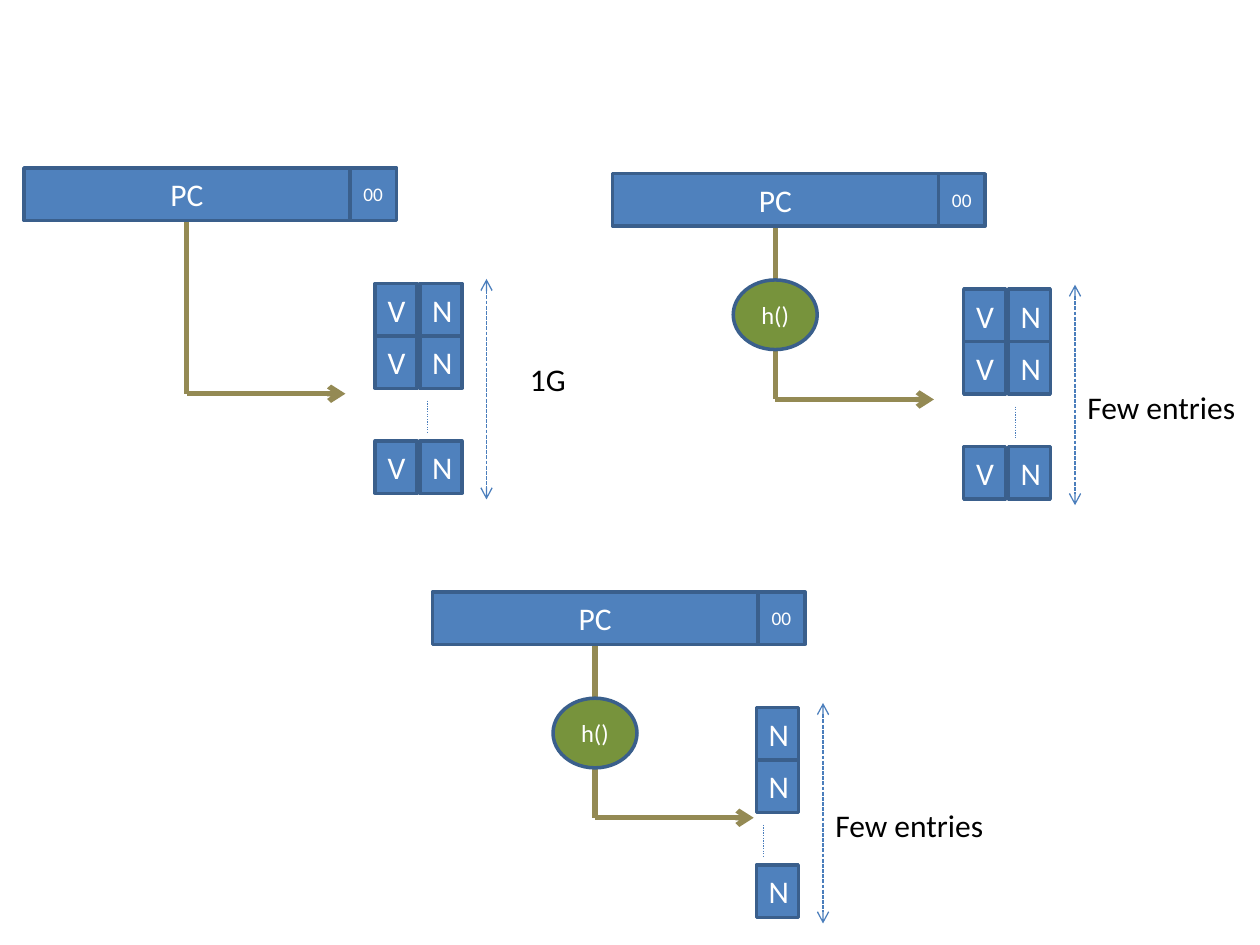
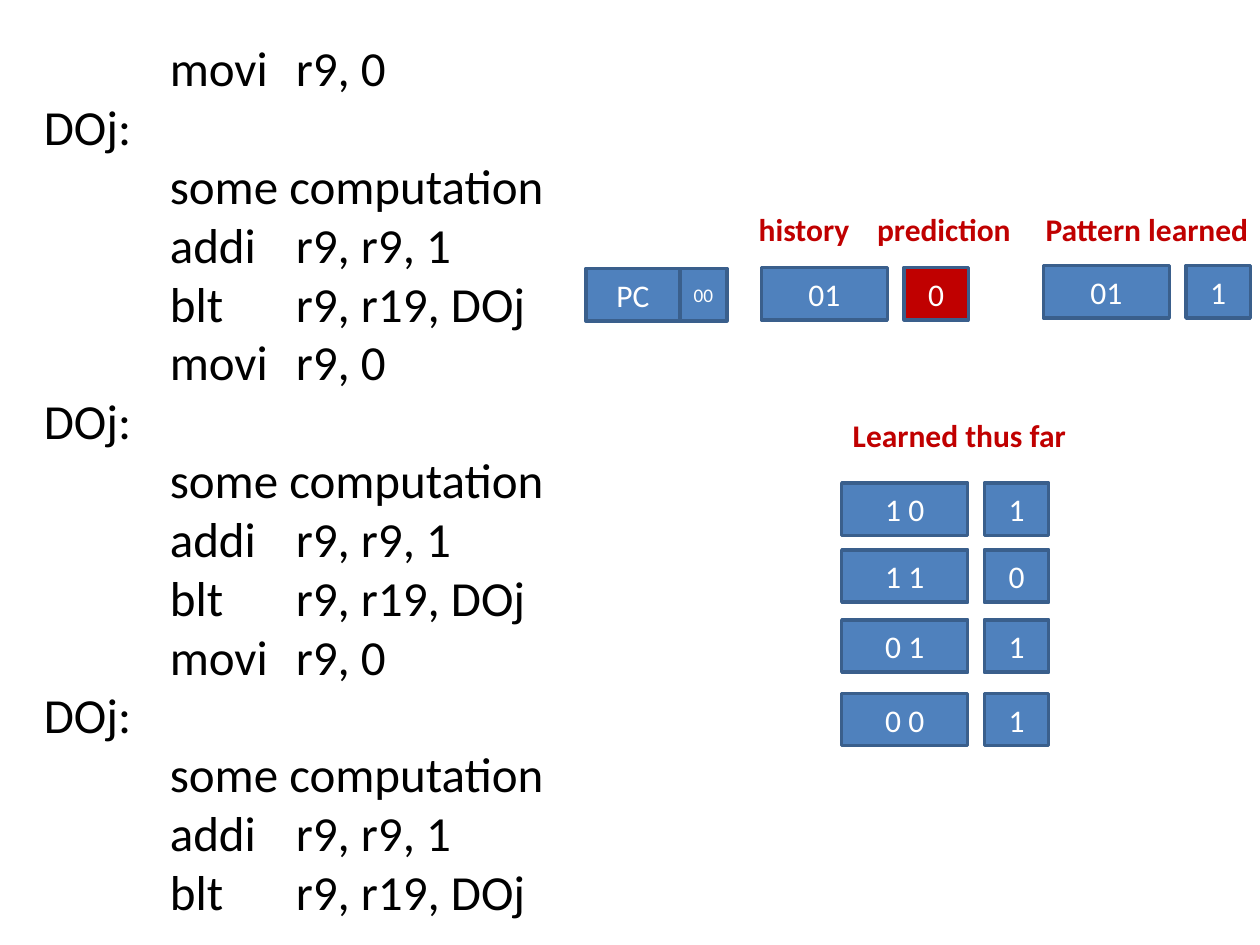
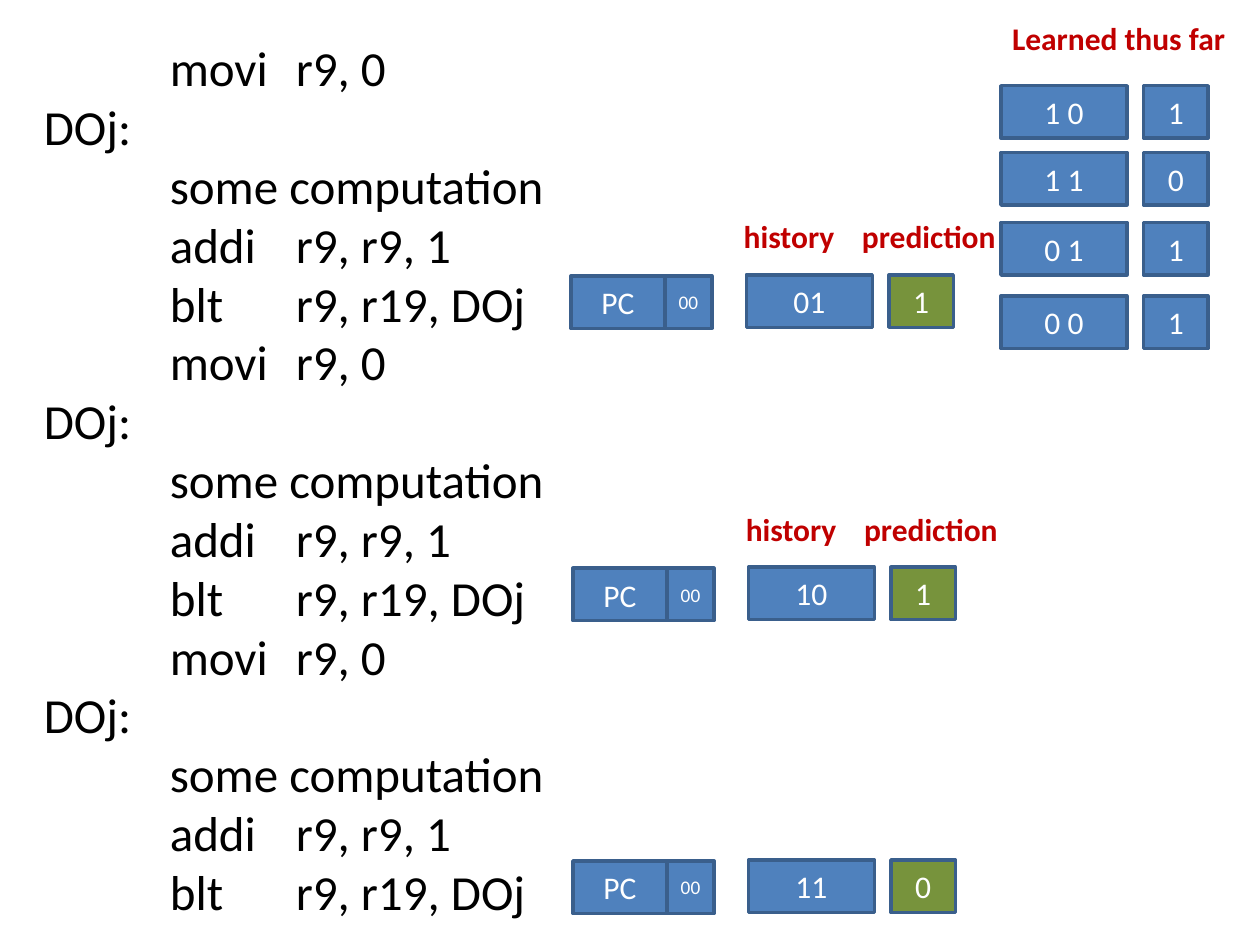
import dataclasses
import typing

import pptx
import pptx.dml.color
import pptx.enum.dml
import pptx.enum.shapes
import pptx.enum.text
import pptx.oxml.ns
import pptx.oxml.xmlchemy
import pptx.shapes.shapetree
import pptx.util
from lxml import etree

Pt = pptx.util.Pt
Dash = pptx.enum.dml.MSO_LINE
Shape = pptx.enum.shapes.MSO_SHAPE
Tree = typing.Union[pptx.shapes.shapetree.SlideShapes, pptx.shapes.shapetree.GroupShapes]
Point = tuple[float, float]

# Shared look
FONT = "Calibri"
BLUE, EDGE, THIN = "4F81BD", "3A5F8C", "4B7EBC"
GREEN, RED, TAN = "77933C", "C00000", "948A54"
WHITE, BLACK = "FFFFFF", "000000"
CELL = 30  # height of every box
TAB = 72

LOOP = (
    "\tmovi\tr9, 0\nDOj:\n\tsome computation\n"
    "\taddi\tr9, r9, 1\n\tblt\tr9, r19, DOj"
)
CODE = "\n".join([LOOP] * 3)


@dataclasses.dataclass(frozen=True)
class Design:
    """A predictor table indexed by the PC; x and y place the PC box."""
    x: float
    y: float
    size: str
    label: Point
    hashed: bool = True
    valid: bool = True


@dataclasses.dataclass(frozen=True)
class Guess:
    """One lookup: history bits and the predicted bit beside a PC box."""
    x: float
    y: float
    bits: str
    bit: str
    fill: str
    titled: bool = True


DESIGNS = [
    Design(13.7, 96, "1G", (282, 106), hashed=False),
    Design(350, 99.3, "Few entries", (264.3, 119)),
    Design(247, 338.3, "Few entries", (264.3, 119), valid=False),
]
FIRST = Guess(334.8, 153.4, "01", "0", RED)
LATER = [
    Guess(326.2, 157.7, "01", "1", GREEN),
    Guess(327.4, 324.7, "10", "1", GREEN),
    Guess(327.4, 492, "11", "0", GREEN, titled=False),
]
LEARNED = [(0, "1 0", "1"), (38.2, "1 1", "0"), (78.2, "0 1", "1"), (120.2, "0 0", "1")]


def color(value: str) -> pptx.dml.color.RGBColor:
    return pptx.dml.color.RGBColor.from_string(value)


def write(frame, text: str, size: float, ink: str, bold: bool = False) -> None:
    line = frame.paragraphs[0]
    line.text = text
    line.font.name = FONT
    line.font.size = Pt(size)
    line.font.bold = bold
    line.font.color.rgb = color(ink)


def box(tree: Tree, x: float, y: float, w: float, text: str, fill: str = BLUE,
        size: float = 18, h: float = CELL, kind=Shape.RECTANGLE) -> None:
    shape = tree.add_shape(kind, Pt(x), Pt(y), Pt(w), Pt(h))
    shape.shadow.inherit = False
    shape.fill.solid()
    shape.fill.fore_color.rgb = color(fill)
    shape.line.color.rgb = color(EDGE)
    shape.line.width = Pt(2)
    write(shape.text_frame, text, size, WHITE)
    shape.text_frame.paragraphs[0].alignment = pptx.enum.text.PP_ALIGN.CENTER


def label(tree: Tree, x: float, y: float, w: float, text: str,
          ink: str = RED, bold: bool = True) -> None:
    frame = tree.add_textbox(Pt(x), Pt(y), Pt(w), Pt(29)).text_frame
    frame.word_wrap = False
    frame.auto_size = pptx.enum.text.MSO_AUTO_SIZE.SHAPE_TO_FIT_TEXT
    write(frame, text, 18, ink, bold)


def line(tree: Tree, start: Point, end: Point, ink: str, width: float,
         dash=None, ends: tuple[str, ...] = ()) -> None:
    link = tree.add_connector(pptx.enum.shapes.MSO_CONNECTOR.STRAIGHT,
                              *(Pt(v) for v in start + end))
    link.line.color.rgb = color(ink)
    link.line.width = Pt(width)
    if dash is not None:
        link.line.dash_style = dash
    name = pptx.oxml.ns.qn
    props = link._element.spPr
    for tip in ends:
        etree.SubElement(props.find(name("a:ln")), name(f"a:{tip}")).set("type", "arrow")
    etree.SubElement(props, name("a:effectLst"))


def counter(tree: Tree, x: float, y: float, w: float) -> None:
    """The PC with its two low zero bits."""
    box(tree, x, y, w, "PC")
    box(tree, x + w, y, 26.8, "00", size=11)


def pair(tree: Tree, x: float, y: float, bits: str, bit: str, fill: str = BLUE) -> None:
    box(tree, x, y, 72, bits)
    box(tree, x + 81.5, y, 36.8, bit, fill)


def design(tree: Tree, item: Design) -> None:
    x, y = item.x, item.y
    stem, turn = x + 93, y + 129
    line(tree, (stem, y + CELL), (stem, turn), TAN, 3)
    line(tree, (stem, turn), (x + 183.7, turn), TAN, 3, ends=("tailEnd",))

    # Table: two rows, a gap, and the last row
    left = x if item.valid else x - 41
    for row in (0, 1, 3):
        top = y + 66 + row * CELL
        if item.valid:
            box(tree, left + 200.7, top, 24, "V")
        box(tree, left + 226.2, top, 24, "N")
    line(tree, (left + 230.4, y + 133), (left + 230.4, y + 151), THIN, 0.75, Dash.ROUND_DOT)
    line(tree, (left + 264.3, y + 63.4), (left + 264.3, y + 189.4), THIN, 0.75,
         Dash.SQUARE_DOT, ("headEnd", "tailEnd"))
    dx, dy = item.label
    label(tree, left + dx, y + dy, 35.3 if item.size == "1G" else 100, item.size, BLACK, False)

    counter(tree, x, y, 186.2)
    if item.hashed:
        box(tree, stem - 24, y + 60.7, 48, "h()", GREEN, 14, 39.8, Shape.OVAL)


def guess(tree: Tree, item: Guess) -> None:
    x, y = item.x, item.y
    counter(tree, x, y, 53.8)
    pair(tree, x + 100.3, y - 0.6, item.bits, item.bit, item.fill)
    if item.titled:
        label(tree, x + 91.7, y - 37, 67, "history")
        label(tree, x + 159.3, y - 37, 91.4, "prediction")


def learned(tree: Tree, x: float, y: float) -> None:
    for drop, bits, bit in LEARNED:
        pair(tree, x, y + drop, bits, bit)
    label(tree, x - 0.8, y - 41.6, 137.5, "Learned thus far")


def listing(tree: Tree) -> None:
    """Assembly code on two tab stops."""
    frame = tree.add_textbox(Pt(18), Pt(18), Pt(305), Pt(550)).text_frame
    frame.word_wrap = True
    name = pptx.oxml.ns.qn
    stops = etree.SubElement(frame.paragraphs[0]._p.get_or_add_pPr(), name("a:tabLst"))
    for step in (1, 2):
        stop = etree.SubElement(stops, name("a:tab"))
        stop.set("pos", str(Pt(step * TAB)))
        stop.set("algn", "l")
    write(frame, CODE, 28, BLACK)


def main() -> None:
    deck = pptx.Presentation()
    deck.slide_width, deck.slide_height = Pt(720), Pt(540)
    trees = [deck.slides.add_slide(deck.slide_layouts[6]).shapes for _ in range(3)]

    # Slide 1: three table designs
    for item in DESIGNS:
        design(trees[0], item)

    # Slide 2: a wrong guess and the pattern it teaches
    listing(trees[1])
    guess(trees[1], FIRST)
    label(trees[1], 590.4, 116.6, 131.8, "Pattern learned")
    pair(trees[1], 596.2, 151.8, "01", "1")
    learned(trees[1], 481, 276)

    # Slide 3: right guesses from the learned patterns
    listing(trees[2])
    learned(trees[2].add_group_shape().shapes, 572, 49)
    for item in LATER:
        guess(trees[2], item)

    deck.save("out.pptx")


if __name__ == "__main__":
    main()
